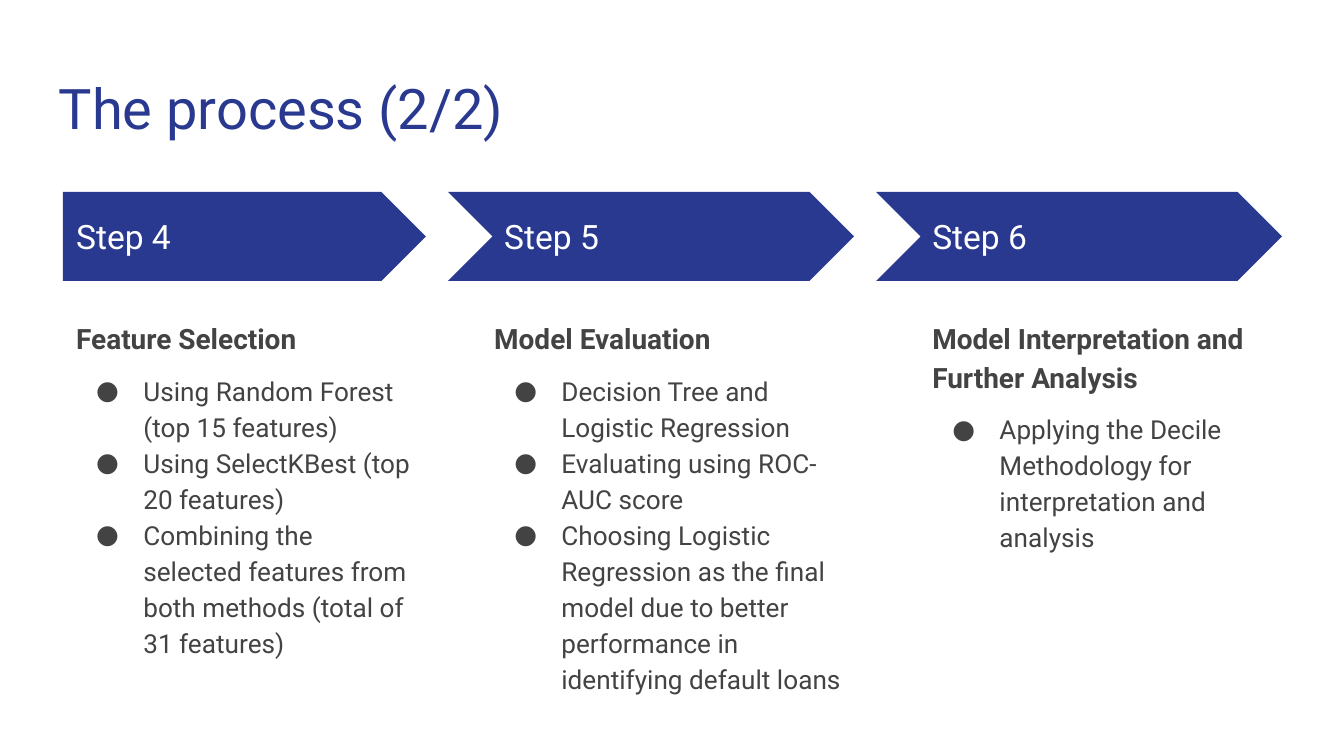
from lxml import etree
from pptx import Presentation
from pptx.dml.color import RGBColor
from pptx.enum.shapes import MSO_SHAPE
from pptx.enum.text import MSO_ANCHOR
from pptx.oxml.ns import qn
from pptx.util import Cm, Pt

PENTAGON, CHEVRON = MSO_SHAPE.PENTAGON, MSO_SHAPE.CHEVRON
TOP, MIDDLE = MSO_ANCHOR.TOP, MSO_ANCHOR.MIDDLE

FONT = "Roboto"
BLUE, GREY, WHITE = "2A3990", "434343", "FFFFFF"

LEFT, PITCH = 1.19, 8.09
ARROW_TOP, ARROW_HEIGHT = 3.63, 1.68
PENTAGON_WIDTH, CHEVRON_WIDTH = 6.86, 7.67

# step, heading, bullets, left and width of the details in cm
STEPS = [
    ("Step 4", "Feature Selection",
     ["Using Random Forest (top 15 features)",
      "Using SelectKBest (top 20 features)",
      "Combining the selected features from both methods (total of 31 features)"],
     1.19, 6.86),
    ("Step 5", "Model Evaluation",
     ["Decision Tree and Logistic Regression",
      "Evaluating using ROC-AUC score",
      "Choosing Logistic Regression as the final model due to better "
      "performance in identifying default loans"],
     9.09, 7.24),
    ("Step 6", "Model Interpretation and Further Analysis",
     ["Applying the Decile Methodology for interpretation and analysis"],
     17.37, 6.86),
]


def color(value):
    return RGBColor.from_string(value)


def format_runs(paragraph, size, text_color, bold=False):
    for run in paragraph.runs:
        run.font.name = FONT
        run.font.size = Pt(size)
        run.font.bold = bold
        run.font.color.rgb = color(text_color)


def add_text_frame(slide, left, top, width, height, anchor=TOP):
    box = slide.shapes.add_textbox(Cm(left), Cm(top), Cm(width), Cm(height))
    frame = box.text_frame
    frame.word_wrap = True
    frame.vertical_anchor = anchor
    frame.margin_left = frame.margin_right = Cm(0.25)
    frame.margin_top = frame.margin_bottom = Cm(0.25)
    return frame


def add_line(slide, text, left, top, width, height, size, text_color, anchor=TOP):
    frame = add_text_frame(slide, left, top, width, height, anchor)
    frame.text = text
    format_runs(frame.paragraphs[0], size, text_color)


def add_arrow(slide, index):
    """Align the arrow tips at equal steps; only the first arrow has a flat back."""
    kind, width = (CHEVRON, CHEVRON_WIDTH) if index else (PENTAGON, PENTAGON_WIDTH)
    left = LEFT + PENTAGON_WIDTH + index * PITCH - width
    arrow = slide.shapes.add_shape(
        kind, Cm(left), Cm(ARROW_TOP), Cm(width), Cm(ARROW_HEIGHT))
    arrow.shadow.inherit = False
    arrow.fill.solid()
    arrow.fill.fore_color.rgb = color(BLUE)
    arrow.line.fill.background()


def add_bullet(paragraph):
    properties = paragraph._p.get_or_add_pPr()
    properties.set("marL", str(Cm(1.27)))
    properties.set("indent", str(Cm(-0.89)))
    bullet_color = etree.SubElement(properties, qn("a:buClr"))
    etree.SubElement(bullet_color, qn("a:srgbClr"), val=GREY)
    etree.SubElement(properties, qn("a:buFont"), typeface=FONT)
    etree.SubElement(properties, qn("a:buChar"), char="●")


def add_details(slide, heading, bullets, left, width):
    frame = add_text_frame(slide, left, 5.74, width, 7.37)
    title = frame.paragraphs[0]
    title.text = heading
    title.line_spacing = 1.15
    format_runs(title, 15, GREY, bold=True)
    for number, text in enumerate(bullets):
        paragraph = frame.add_paragraph()
        paragraph.text = text
        paragraph.line_spacing = 1.15
        paragraph.space_before = Pt(0 if number else 8)
        add_bullet(paragraph)
        format_runs(paragraph, 14, GREY)


def main():
    presentation = Presentation()
    presentation.slide_width = Cm(25.4)
    presentation.slide_height = Cm(14.29)
    slide = presentation.slides.add_slide(presentation.slide_layouts[6])

    add_line(slide, "The process (2/2)", 0.86, 1.14, 23.67, 1.68, 30, BLUE)
    for index, (step, heading, bullets, left, width) in enumerate(STEPS):
        add_arrow(slide, index)
        add_line(slide, step, LEFT + index * PITCH, 4.04, 6.27, 0.86,
                 18, WHITE, MIDDLE)
        add_details(slide, heading, bullets, left, width)

    presentation.save("out.pptx")


if __name__ == "__main__":
    main()
